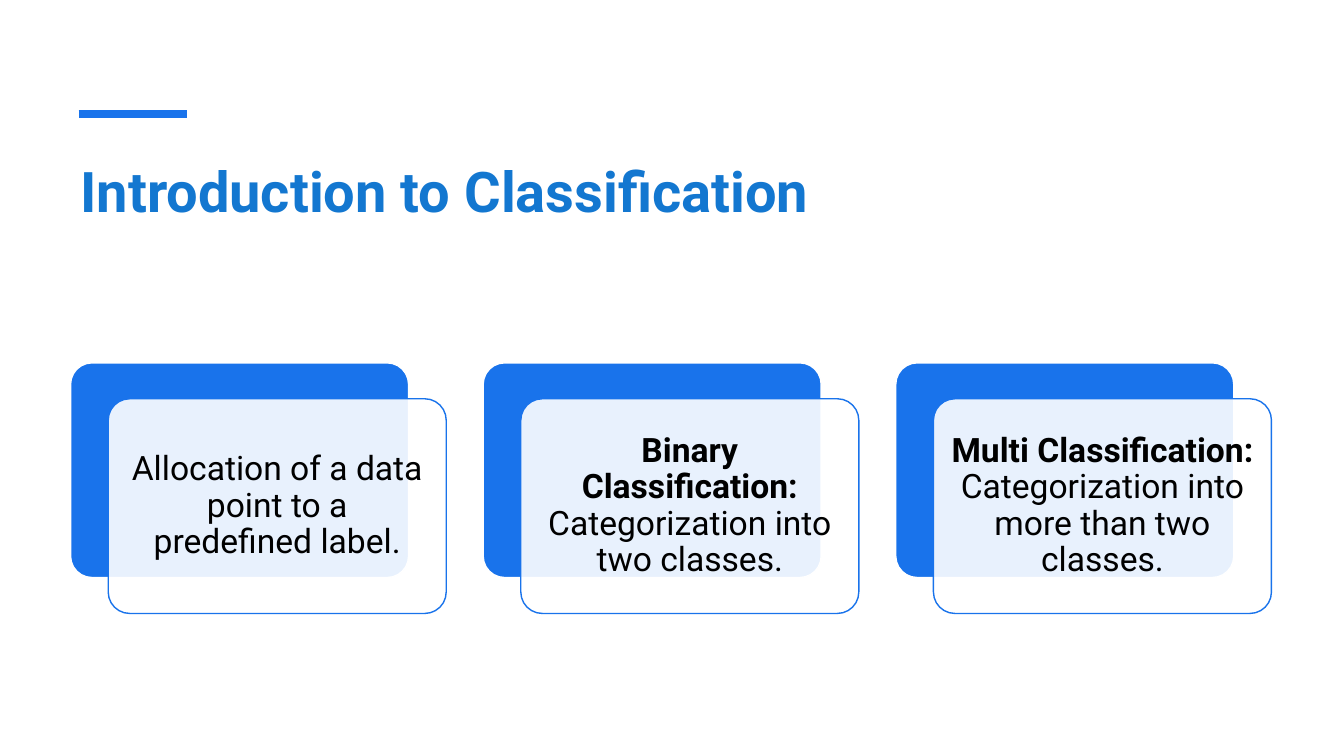
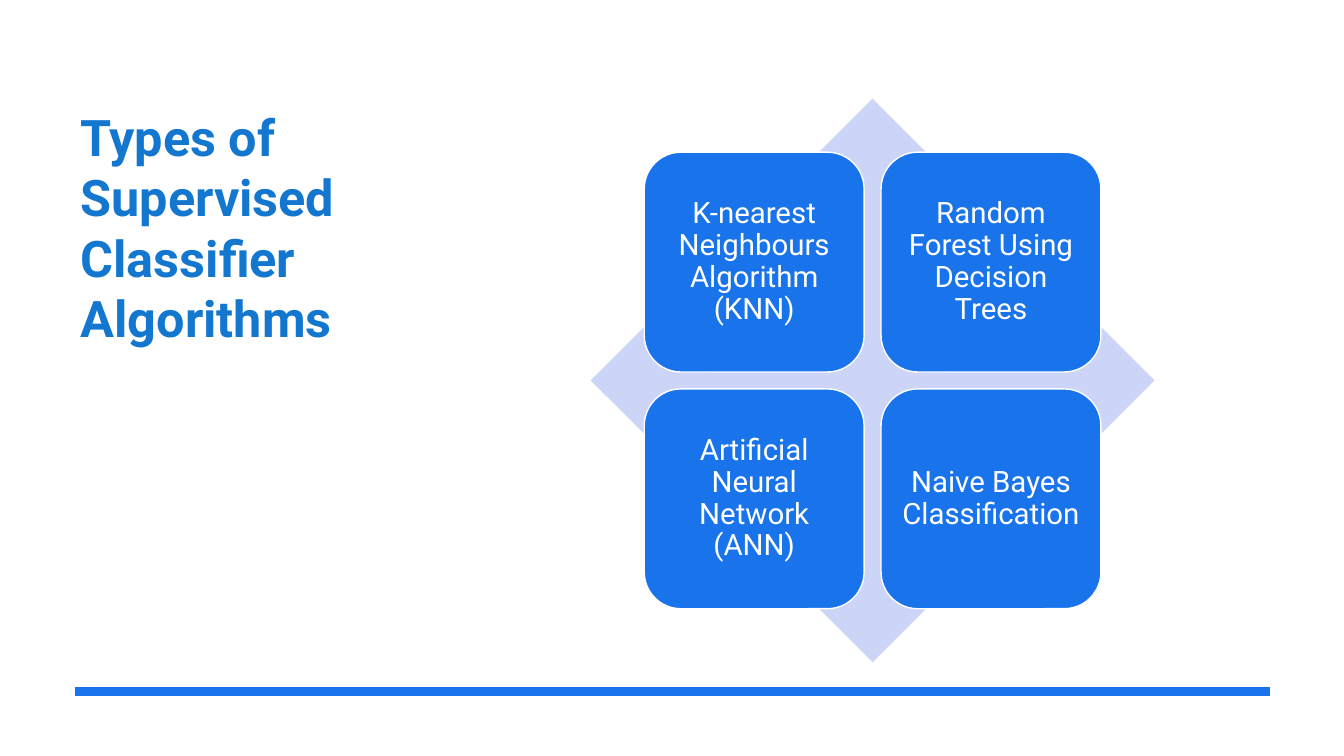
from pptx import Presentation
from pptx.dml.color import RGBColor
from pptx.enum.shapes import MSO_CONNECTOR, MSO_SHAPE
from pptx.enum.text import MSO_ANCHOR, PP_ALIGN
from pptx.oxml.ns import qn
from pptx.util import Inches, Pt
from lxml.etree import SubElement

# Shared style
FONT = "Roboto"
BLUE, TITLE, PALE = "1973EB", "1377D0", "CCD5F7"
WHITE, BLACK = "FFFFFF", "000000"
LEFT = 5.25  # left margin, percent of the slide's width


def color(code):
    return RGBColor.from_string(code)


class Deck:
    """Holds the style and current slide; lengths are percents of the slide."""

    def __init__(self):
        self.file = Presentation()
        self.file.slide_width = Inches(13.33)
        self.file.slide_height = Inches(7.5)
        self.slide = None

    def add(self):
        self.slide = self.file.slides.add_slide(self.file.slide_layouts[6])

    def across(self, share):
        return round(self.file.slide_width * share / 100)

    def down(self, share):
        return round(self.file.slide_height * share / 100)

    def place(self, x, y, w, h):
        return self.across(x), self.down(y), self.across(w), self.down(h)

    def style(self, run, size, code, bold=False):
        run.font.name = FONT
        run.font.size = Pt(size)
        run.font.bold = bold
        run.font.color.rgb = color(code)

    def title(self, text, y, w, h, size):
        frame = self.slide.shapes.add_textbox(*self.place(LEFT, y, w, h)).text_frame
        frame.word_wrap = True
        frame.text = text
        self.style(frame.paragraphs[0].runs[0], size, TITLE, True)

    def rule(self, start, end, y):
        line = self.slide.shapes.add_connector(
            MSO_CONNECTOR.STRAIGHT, self.across(start), self.down(y),
            self.across(end), self.down(y))
        line.line.color.rgb = color(BLUE)
        line.line.width = Pt(6)
        SubElement(line._element.spPr, qn("a:effectLst"))

    def shape(self, kind, box, fill, edge=None, bend=None, alpha=None):
        shape = self.slide.shapes.add_shape(kind, *self.place(*box))
        shape.shadow.inherit = False
        shape.fill.solid()
        shape.fill.fore_color.rgb = color(fill)
        if alpha:
            tint = shape._element.spPr.find(qn("a:solidFill"))[0]
            SubElement(tint, qn("a:alpha"), val=str(alpha * 1000))
        if edge:
            shape.line.color.rgb = color(edge)
            shape.line.width = Pt(1)
        else:
            shape.line.fill.background()
        if bend:
            shape.adjustments[0] = bend
        return shape

    def label(self, shape, parts, size, code, inset):
        """Write (text, bold) parts as one centred paragraph."""
        frame = shape.text_frame
        frame.word_wrap = True
        frame.vertical_anchor = MSO_ANCHOR.MIDDLE
        frame.margin_left = frame.margin_right = Inches(inset)
        frame.margin_top = frame.margin_bottom = Inches(inset)
        para = frame.paragraphs[0]
        para.alignment = PP_ALIGN.CENTER
        para.line_spacing = 0.9
        for text, bold in parts:
            run = para.add_run()
            run.text = text
            self.style(run, size, code, bold)

    def card(self, x, y, w, h, parts):
        """A blue panel with a sheer white card set off from it."""
        kind = MSO_SHAPE.ROUNDED_RECTANGLE
        self.shape(kind, (x, y, w, h), BLUE, WHITE, bend=0.1)
        front = self.shape(kind, (x + 2.8, y + 4.75, w, h), WHITE, BLUE,
                           bend=0.1, alpha=90)
        self.label(front, parts, 24, BLACK, 0.1)

    def matrix(self, x, y, w, h, names):
        """A diamond with a two by two grid of tiles over it."""
        self.shape(MSO_SHAPE.DIAMOND, (x, y, w, h), PALE)
        edge, side, step = 0.095, 0.39, 0.42  # shares of the diamond
        for i, name in enumerate(names):
            row, col = divmod(i, 2)
            box = (x + w * (edge + step * col), y + h * (edge + step * row),
                   w * side, h * side)
            tile = self.shape(MSO_SHAPE.ROUNDED_RECTANGLE, box, BLUE, WHITE)
            self.label(tile, [(name, False)], 21, WHITE, 0.09)


def main():
    deck = Deck()

    # Slide 1: three cards
    deck.add()
    deck.title("Introduction to Classification", 20, 89.35, 16, 40)
    deck.rule(5.85, 13.9, 15.05)
    cards = [
        [("Allocation of a data point to a predefined label.", False)],
        [("Binary Classification: ", True),
         ("Categorization into two classes.", False)],
        [("Multi Classification: ", True),
         ("Categorization into more than two classes.", False)],
    ]
    for i, parts in enumerate(cards):
        deck.card(LEFT + 30.7 * i, 48, 25.15, 28.4, parts)

    # Slide 2: four tiles on a diamond
    deck.add()
    deck.title("Types of Supervised Classifier Algorithms", 13.33, 24.6, 60.67, 36)
    deck.rule(5.55, 94.5, 91.45)
    deck.matrix(43.95, 13.05, 41.95, 74.55, [
        "K-nearest Neighbours Algorithm (KNN)",
        "Random Forest Using Decision Trees",
        "Artificial Neural Network (ANN)",
        "Naive Bayes Classification",
    ])

    deck.file.save("out.pptx")


if __name__ == "__main__":
    main()
